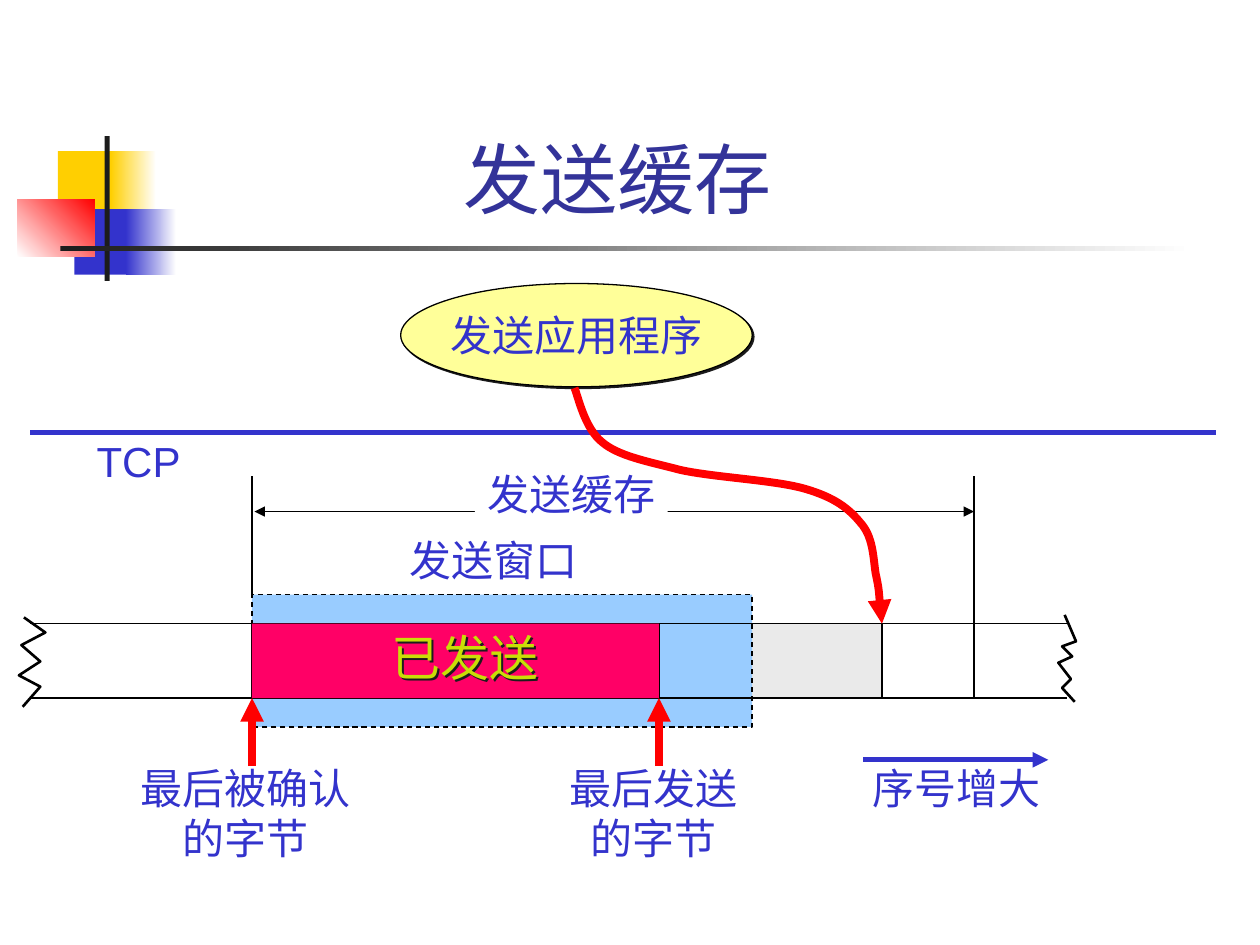
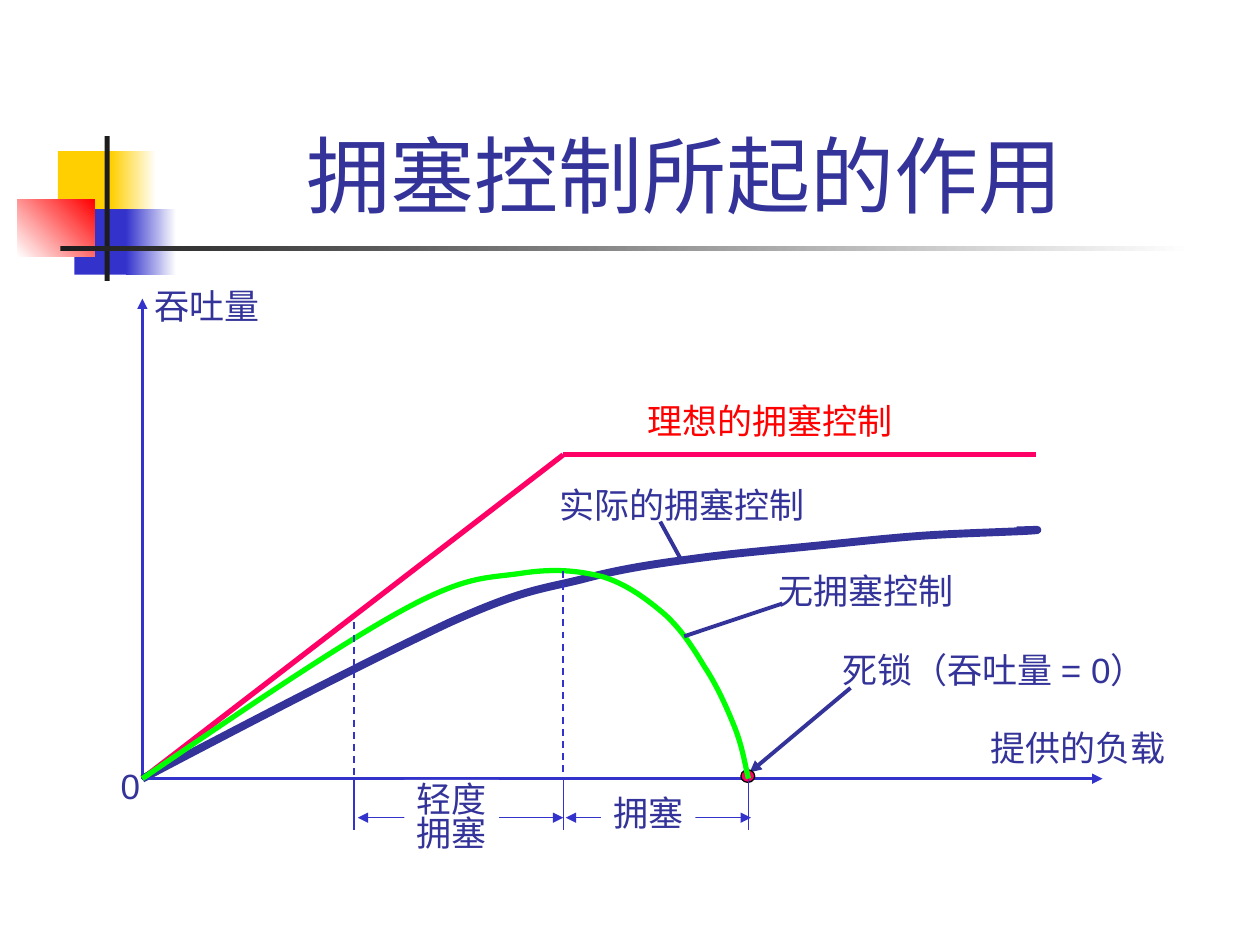
from dataclasses import dataclass

from pptx import Presentation
from pptx import util as u
from pptx.dml.color import RGBColor
from pptx.enum import dml, shapes, text
from pptx.oxml import ns, xmlchemy


@dataclass(frozen=True)
class Theme:
    font: str = "Arial"
    blue: str = "3333CC"
    navy: str = "333399"
    red: str = "FF0000"
    rose: str = "FF0066"
    gold: str = "FFCF01"
    ink: str = "1C1C1C"
    black: str = "000000"
    white: str = "FFFFFF"
    cream: str = "FFFF99"
    sky: str = "99CCFF"
    gray: str = "EAEAEA"
    lime: str = "C9DE06"
    green: str = "00FF00"
    label: int = 24
    small: int = 20
    big: int = 28
    thin: float = 0.75
    axis: float = 1.5
    lead: float = 2.25
    bold: float = 3
    heavy: float = 4.5


T = Theme()

DECOR = [
    ((0.46, 1.2, 0.48, 0.52), T.gold, None, 0),
    ((0.88, 1.2, 0.36, 0.52), T.gold, T.white, 0),
    ((0.59, 1.66, 0.46, 0.52), T.blue, None, 0),
    ((1, 1.66, 0.4, 0.52), T.blue, T.white, 0),
    ((0.14, 1.58, 0.61, 0.46), T.white, T.red, 45),
    ((0.83, 1.08, 0.04, 1.15), T.ink, None, 0),
    ((0.48, 1.95, 9, 0.04), T.ink, T.white, 0),
]

ACK, SENT, USED, END = 2, 5.23, 7, 7.73
TOP, BASE = 4.95, 5.54
ROW = BASE - TOP
FLOW = [(4.56, 3.08), (4.59, 3.15), (4.64, 3.4), (4.78, 3.51),
        (4.91, 3.62), (5.13, 3.66), (5.4, 3.73),
        (5.67, 3.79), (6.15, 3.81), (6.39, 3.88),
        (6.63, 3.95), (6.74, 4.04), (6.83, 4.15),
        (6.93, 4.26), (6.93, 4.42), (6.95, 4.55),
        (6.98, 4.69), (6.99, 4.87), (USED, TOP)]
TEAR_R = [(8.45, 4.88), (8.54, 5.09), (8.43, 5.13), (8.51, 5.21),
          (8.4, 5.26), (8.5, 5.39), (8.43, 5.46), (8.53, 5.57)]
TEAR_L = [(0.19, 4.9), (0.36, 5.02), (0.17, 5.12), (0.32, 5.25),
          (0.15, 5.36), (0.32, 5.45), (0.18, 5.61)]

BUFFER = [
    ("line", (ACK + 0.02, 4.06), (END, 4.06), dict(ends="both")),
    ("label", (1.02, 6, 1.86, 0.9), "最后被确认\n的字节", dict(mid=True)),
    ("shape", (SENT, TOP, USED - SENT, ROW), T.gray, {}),
    ("shape", (3.18, 2.25, 2.79, 0.82), T.cream,
     dict(oval=True, edge=T.black, words="发送应用程序", shade=True)),
    ("line", (0.24, 3.43), (9.65, 3.43), dict(hue=T.blue, size=T.bold)),
    ("shape", (ACK, 4.72, 3.97, 1.05), T.sky, dict(edge=T.black, dash=True)),
    *[("line", (0.24, y), (8.47, y), {}) for y in (TOP, BASE)],
    *[("line", (x, TOP), (x, BASE), {}) for x in (ACK, USED, SENT)],
    ("label", (3.77, 3.67, 1.53, 0.5), "发送缓存", dict(back=T.white)),
    ("label", (4.42, 6, 1.53, 0.9), "最后发送\n的字节", dict(mid=True)),
    ("label", (3.15, 4.19, 1.53, 0.5), "发送窗口", {}),
    ("shape", (ACK, TOP, SENT - ACK, ROW), T.rose, {}),
    ("label", (3.01, 4.93, 1.36, 0.57), "已发送",
     dict(size=T.big, hue=T.lime, shade=True)),
    *[("line", (x, 6.08), (x, BASE),
       dict(hue=T.red, size=T.heavy, ends="tail")) for x in (ACK, SENT)],
    ("line", (ACK, 3.78), (ACK, 4.72), {}),
    ("line", (END, 3.78), (END, BASE), {}),
    ("path", FLOW, True, dict(hue=T.red, size=T.heavy, ends="tail")),
    ("label", (0.67, 3.41, 0.86, 0.5), "TCP", dict(mid=True)),
    ("path", TEAR_R, False, dict(size=T.axis)),
    ("path", TEAR_L, False, dict(size=T.axis)),
    ("line", (6.85, 6.03), (8.32, 6.03),
     dict(hue=T.blue, size=T.bold, ends="tail")),
    ("label", (6.83, 6, 1.53, 0.5), "序号增大", dict(mid=True)),
]

ZERO = (1.13, 6.18)
AXIS = ZERO[1]
MILD, JAM, LOCK = 2.81, 4.47, 5.94
KNEE = (JAM, 3.61)
REAL = [ZERO, (2.06, 5.69), (2.99, 5.21), (3.57, 4.94),
        (4.15, 4.68), (4.28, 4.68), (4.61, 4.6),
        (4.94, 4.51), (5.24, 4.47), (5.54, 4.43),
        (5.84, 4.39), (6.09, 4.37), (6.39, 4.34),
        (6.7, 4.31), (7.05, 4.27), (7.35, 4.25),
        (7.65, 4.23), (8.08, 4.22), (8.2, 4.21),
        (8.32, 4.2), (8.09, 4.21), (8.07, 4.21)]
FREE = [ZERO, (1.92, 5.64), (2.72, 5.1), (3.22, 4.83),
        (3.72, 4.56), (3.88, 4.59), (4.14, 4.55),
        (4.4, 4.51), (4.6, 4.53), (4.79, 4.58),
        (4.98, 4.64), (5.14, 4.76), (5.28, 4.88),
        (5.41, 5), (5.5, 5.14), (5.59, 5.29),
        (5.69, 5.44), (5.77, 5.62), (5.83, 5.77),
        (5.89, 5.92), (5.91, 6.05), (LOCK, AXIS)]
NOTE = dict(size=T.small, hue=T.navy)
LEAD = dict(hue=T.navy, size=T.lead)
ARROW = dict(hue=T.blue, size=T.axis, ends="tail")
SPAN = dict(hue=T.blue, ends="both")
IDEAL = dict(hue=T.rose, size=T.bold)
DASH = dict(hue=T.blue, size=1, dash=True)

LOAD = [
    ("line", ZERO, (ZERO[0], 2.37), ARROW),
    ("label", (7.76, 5.72, 1.59, 0.44), "提供的负载", NOTE),
    ("label", (1.13, 2.21, 1.03, 0.44), "吞吐量", NOTE),
    ("line", ZERO, KNEE, IDEAL),
    ("line", KNEE, (8.22, KNEE[1]), IDEAL),
    ("label", (5.04, 3.12, 2.15, 0.44), "理想的拥塞控制",
     dict(size=T.small, hue=T.red)),
    ("path", REAL, True, dict(hue=T.navy, size=T.heavy)),
    ("label", (4.34, 3.79, 2.15, 0.44), "实际的拥塞控制", NOTE),
    ("line", (5.24, 4.14), (5.41, 4.45), LEAD),
    ("line", ZERO, (8.75, AXIS), ARROW),
    ("label", (0.86, 6.02, 0.35, 0.44), "0", NOTE),
    ("label", (6.59, 5.1, 2.74, 0.44), "死锁（吞吐量 = 0）", NOTE),
    ("line", (6.75, 5.46), (5.95, 6.13), dict(LEAD, ends="tail")),
    ("shape", (5.88, 6.11, 0.11, 0.1), T.rose, dict(oval=True, edge=T.black)),
    ("line", (JAM + 0.02, 6.49), (LOCK + 0.02, 6.49), SPAN),
    ("line", (MILD + 0.03, 6.49), (JAM, 6.49), SPAN),
    ("path", FREE, True, dict(hue=T.green, size=T.bold)),
    ("line", (JAM, 4.53), (JAM, AXIS), DASH),
    ("label", (6.08, 4.47, 1.59, 0.44), "无拥塞控制", NOTE),
    ("line", (6.21, 4.79), (5.43, 5.05), LEAD),
    ("line", (MILD, 4.94), (MILD, AXIS), DASH),
    *[("line", (x, AXIS), (x, 6.59), dict(hue=T.blue))
      for x in (JAM, LOCK, MILD)],
    ("label", (4.77, 6.23, 0.75, 0.44), "拥塞", dict(NOTE, back=T.white)),
    ("label", (3.21, 6.19, 0.75, 0.64), "轻度\n拥塞",
     dict(NOTE, back=T.white, lead=0.8)),
]

SLIDES = [
    ("发送缓存", 7.28, 44, BUFFER),
    ("拥塞控制所起的作用", 8.34, 48, LOAD),
]


def rgb(hue):
    return RGBColor.from_string(hue)


def inch(nums):
    return [u.Inches(n) for n in nums]


def node(tag, **attrs):
    item = xmlchemy.OxmlElement(tag)
    for key, val in attrs.items():
        item.set(key, str(val))
    return item


def cast(item):
    drop = node("a:outerShdw", blurRad=0, dist=17780, dir=2700000, algn="ctr", rotWithShape=0)
    drop.append(node("a:srgbClr", val=T.ink))
    item.shadow.inherit = False
    item._element.spPr.find(ns.qn("a:effectLst")).append(drop)


def paint(fill, hue):
    fill.solid()
    fill.fore_color.rgb = rgb(hue)


def stroke(item, hue=T.black, size=T.thin, dash=False, ends=""):
    line = item.line
    paint(line.fill, hue)
    line.width = u.Pt(size)
    if dash:
        line.dash_style = dml.MSO_LINE.DASH
    edge = item._element.spPr.find(ns.qn("a:ln"))
    if ends == "both":
        edge.append(node("a:headEnd", type="triangle"))
    if ends:
        edge.append(node("a:tailEnd", type="triangle"))


def write(frame, words, size, hue, mid=False, lead=None):
    frame.text = words
    for par in frame.paragraphs:
        par.alignment = text.PP_ALIGN.CENTER if mid else text.PP_ALIGN.LEFT
        if lead:
            par.line_spacing = lead
        for run in par.runs:
            run.font.size = u.Pt(size)
            run.font.color.rgb = rgb(hue)
            run.font.name = T.font


def line(page, start, stop, style):
    item = page.shapes.add_connector(
        shapes.MSO_CONNECTOR.STRAIGHT, *inch(start + stop))
    stroke(item, **style)
    item._element.spPr.append(node("a:effectLst"))


def shape(page, box, hue, style):
    kind = shapes.MSO_SHAPE.OVAL if style.get("oval") else shapes.MSO_SHAPE.RECTANGLE
    item = page.shapes.add_shape(kind, *inch(box))
    item.shadow.inherit = False
    paint(item.fill, hue)
    if "edge" in style:
        stroke(item, style["edge"], dash=style.get("dash", False))
    else:
        item.line.fill.background()
    if style.get("shade"):
        cast(item)
    if "words" in style:
        item.text_frame.word_wrap = False
        write(item.text_frame, style["words"], T.label, T.blue, True)
    return item


def label(page, box, words, style):
    item = page.shapes.add_textbox(*inch(box))
    frame = item.text_frame
    mid = style.get("mid", False)
    frame.word_wrap = True
    frame.auto_size = text.MSO_AUTO_SIZE.NONE
    frame.margin_left, frame.margin_right = inch((0 if mid else 0.1, 0))
    write(frame, words, style.get("size", T.label), style.get("hue", T.blue),
          mid, style.get("lead"))
    if "back" in style:
        paint(item.fill, style["back"])
    if style.get("shade"):
        cast(item)


def path(page, dots, curve, style):
    first, *rest = [inch(dot) for dot in dots]
    build = page.shapes.build_freeform(*first)
    build.add_line_segments(rest, close=False)
    item = build.convert_to_shape()
    item.shadow.inherit = False
    item.fill.background()
    stroke(item, **style)
    if curve:
        track = next(item._element.iter(ns.qn("a:path")))
        for num, step in enumerate(track.findall(ns.qn("a:lnTo"))):
            if num % 3 == 0:
                bend = node("a:cubicBezTo")
                step.addprevious(bend)
            bend.append(step[0])
            track.remove(step)


def adorn(page, layout):
    for num, (box, hue, fade, turn) in enumerate(DECOR):
        item = shape(page, box, hue, {})
        if fade:
            item.fill.gradient()
            item.fill.gradient_angle = turn
            for stop, tint in zip(item.fill.gradient_stops, (hue, fade)):
                stop.color.rgb = rgb(tint)
        item._element.nvSpPr.cNvPr.id = 100 + num
        layout.shapes._spTree.insert(2 + num, item._element)


def head(page, words, wide, size):
    title = page.shapes.title
    title.left, title.top, title.width, title.height = inch((1.26, 0.23, wide, 1.6))
    frame = title.text_frame
    frame.auto_size = text.MSO_AUTO_SIZE.NONE
    frame.vertical_anchor = text.MSO_ANCHOR.BOTTOM
    write(frame, words, size, T.navy, True)


DRAW = dict(line=line, shape=shape, label=label, path=path)


def main():
    deck = Presentation()
    deck.slide_width, deck.slide_height = inch((10, 7.5))
    layout = deck.slide_layouts[5]
    for num, (words, wide, size, parts) in enumerate(SLIDES):
        page = deck.slides.add_slide(layout)
        if num == 0:
            adorn(page, layout)
        head(page, words, wide, size)
        for kind, *args in parts:
            DRAW[kind](page, *args)
    deck.save("out.pptx")


if __name__ == "__main__":
    main()
